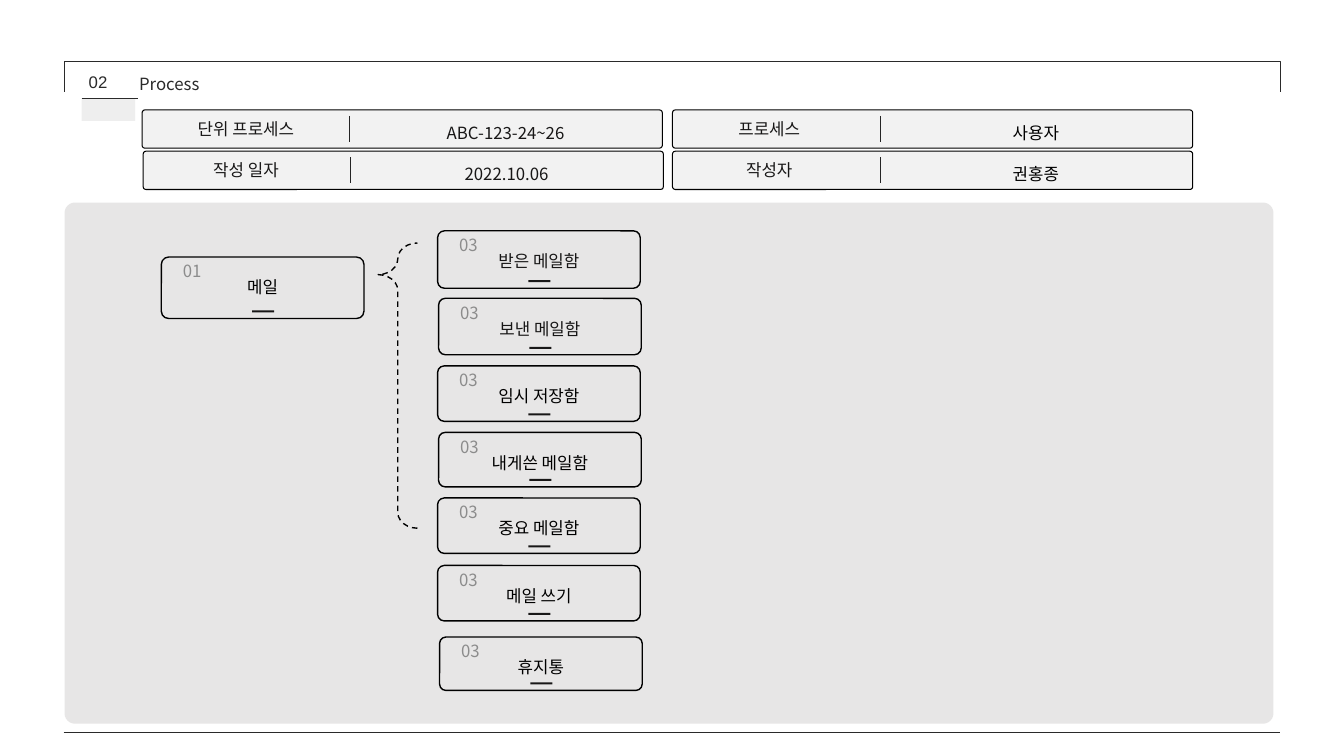
from dataclasses import dataclass

from lxml import etree
from pptx import Presentation
from pptx import util as u
from pptx.dml.color import RGBColor
from pptx.enum import dml, shapes, text
from pptx.oxml import ns

SANS = "Noto Sans CJK KR"
INK = "2A2A2A"
DARK = "181717"
BLACK = "000000"
SHAPE = shapes.MSO_SHAPE
CENTER = text.PP_ALIGN.CENTER
PAD = (0.1, 0.05, 0.1, 0.05)


@dataclass
class Field:
    """One header bar: a label, a divider and a value."""
    x: float
    y: float
    label: str
    value: str
    left: float
    wide: float = 1.1
    color: str = DARK


@dataclass
class Node:
    """One numbered box of the process tree."""
    x: float
    y: float
    high: float
    name: str
    num: str = "03"
    color: str = BLACK


FIELDS = [
    Field(1.42, 1.5, "작성 일자", "2022.10.06", 1.89),
    Field(1.41, 1.09, "단위 프로세스", "ABC-123-24~26", 1.61, 1.66),
    Field(6.67, 1.5, "작성자", "권홍종", 7.08, color=BLACK),
    Field(6.67, 1.09, "프로세스", "사용자", 7.08, color=BLACK),
]
NODES = [
    Node(1.6, 2.55, 0.61, "메일", "01"),
    Node(4.34, 2.29, 0.57, "받은 메일함", color="171616"),
    Node(4.35, 2.96, 0.56, "보낸 메일함", color="171616"),
    Node(4.34, 3.63, 0.55, "임시 저장함"),
    Node(4.35, 4.29, 0.54, "내게쓴 메일함"),
    Node(4.34, 4.94, 0.55, "중요 메일함"),
    Node(4.34, 5.61, 0.55, "메일 쓰기"),
    Node(4.36, 6.32, 0.53, "휴지통"),
]

deck = Presentation()
deck.slide_width = u.Inches(13.33)
deck.slide_height = u.Inches(7.5)
slide = deck.slides.add_slide(deck.slide_layouts[6])


def tint(code: str) -> RGBColor:
    return RGBColor.from_string(code)


def write(words: str, x: float, y: float, wide: float, high: float, *,
          font: str = SANS, color: str = DARK, align=CENTER,
          space: float = 1.0, pad: tuple = PAD) -> None:
    box = slide.shapes.add_textbox(*map(u.Inches, (x, y, wide, high)))
    frame = box.text_frame
    frame.word_wrap = True
    frame.auto_size = text.MSO_AUTO_SIZE.SHAPE_TO_FIT_TEXT
    (frame.margin_left, frame.margin_top,
     frame.margin_right, frame.margin_bottom) = map(u.Inches, pad)
    para = frame.paragraphs[0]
    para.alignment = align
    para.line_spacing = space
    run = para.add_run()
    run.text = words
    run.font.size = u.Pt(12)
    run.font.name = font
    run.font.color.rgb = tint(color)
    latin = run.font._element.find(ns.qn("a:latin"))
    east = etree.Element(ns.qn("a:ea"), typeface=font)
    latin.addnext(east)


def draw(kind, x: float, y: float, wide: float, high: float, *,
         fill: str = "", line: str = "", weight: float = 0.75,
         adjust: tuple = (), turn: float = 0, dash: bool = False) -> None:
    """Add a preset shape; an empty colour means no fill or no line."""
    shape = slide.shapes.add_shape(kind, *map(u.Inches, (x, y, wide, high)))
    shape.shadow.inherit = False
    shape.rotation = turn
    for spot, value in enumerate(adjust):
        shape.adjustments[spot] = value
    if fill:
        shape.fill.solid()
        shape.fill.fore_color.rgb = tint(fill)
    else:
        shape.fill.background()
    if line:
        shape.line.color.rgb = tint(line)
        shape.line.width = u.Pt(weight)
        if dash:
            shape.line.dash_style = dml.MSO_LINE.DASH
    else:
        shape.line.fill.background()


def rule(x: float, y: float, to_x: float, to_y: float, color: str) -> None:
    """Add a thin straight line."""
    line = slide.shapes.add_connector(
        shapes.MSO_CONNECTOR.STRAIGHT, *map(u.Inches, (x, y, to_x, to_y)))
    line.line.color.rgb = tint(color)
    line.line.width = u.Pt(0.75)
    etree.SubElement(line._element.spPr, ns.qn("a:effectLst"))


def add_field(field: Field) -> None:
    x, y = field.x, field.y
    draw(SHAPE.ROUNDED_RECTANGLE, x, y, 5.16, 0.38,
         fill="F2F2F2", line=BLACK, adjust=(0.075,))
    write(field.label, field.left, y + 0.01, field.wide, 0.33, space=1.14)
    rule(x + 2.06, y + 0.06, x + 2.06, y + 0.32, "242424")
    write(field.value, x + 2.19, y + 0.02, 2.83, 0.36,
          color=field.color, space=1.3)


def add_node(node: Node) -> None:
    x, y = node.x, node.y
    write(node.num, x - 0.52, y - 0.01, 1.65, 0.3, color="8C8C8C")
    draw(SHAPE.ROUNDED_RECTANGLE, x, y, 2.01, node.high,
         line=BLACK, weight=1, adjust=(0.12,))
    write(node.name, x, y + 0.09, 2.01, 0.36, color=node.color, space=1.3)
    draw(SHAPE.RECTANGLE, x + 0.9, y + node.high - 0.08, 0.22, 0.02,
         fill=DARK)


def main() -> None:
    draw(SHAPE.RIGHT_BRACKET, 6.52, -5.27, 0.3, 12.06,
         line=INK, adjust=(0,), turn=270)
    write("Process", 1.34, 0.71, 1.26, 0.24, color=INK,
          align=text.PP_ALIGN.LEFT, pad=(0.04, 0.02, 0.12, 0.02))
    rule(0.63, 7.27, 12.7, 7.27, INK)
    write("02", 0.88, 0.71, 0.49, 0.2, font="Arial", color=INK,
          align=text.PP_ALIGN.LEFT, pad=(0, 0, 0, 0))
    draw(SHAPE.RECTANGLE, 0.81, 0.98, 0.53, 0.22, fill="EEEEEE")
    rule(0.81, 0.98, 1.37, 0.98, INK)
    for field in FIELDS:
        add_field(field)
    draw(SHAPE.ROUNDED_RECTANGLE, 0.64, 2.01, 11.99, 5.17,
         fill="E7E6E6", adjust=(0.02,))
    for node in NODES:
        add_node(node)
    draw(SHAPE.RIGHT_BRACE, 3.75, 2.41, 0.39, 2.83, line=BLACK, weight=1,
         adjust=(1.144, 0.889), turn=180, dash=True)
    deck.save("out.pptx")


if __name__ == "__main__":
    main()
